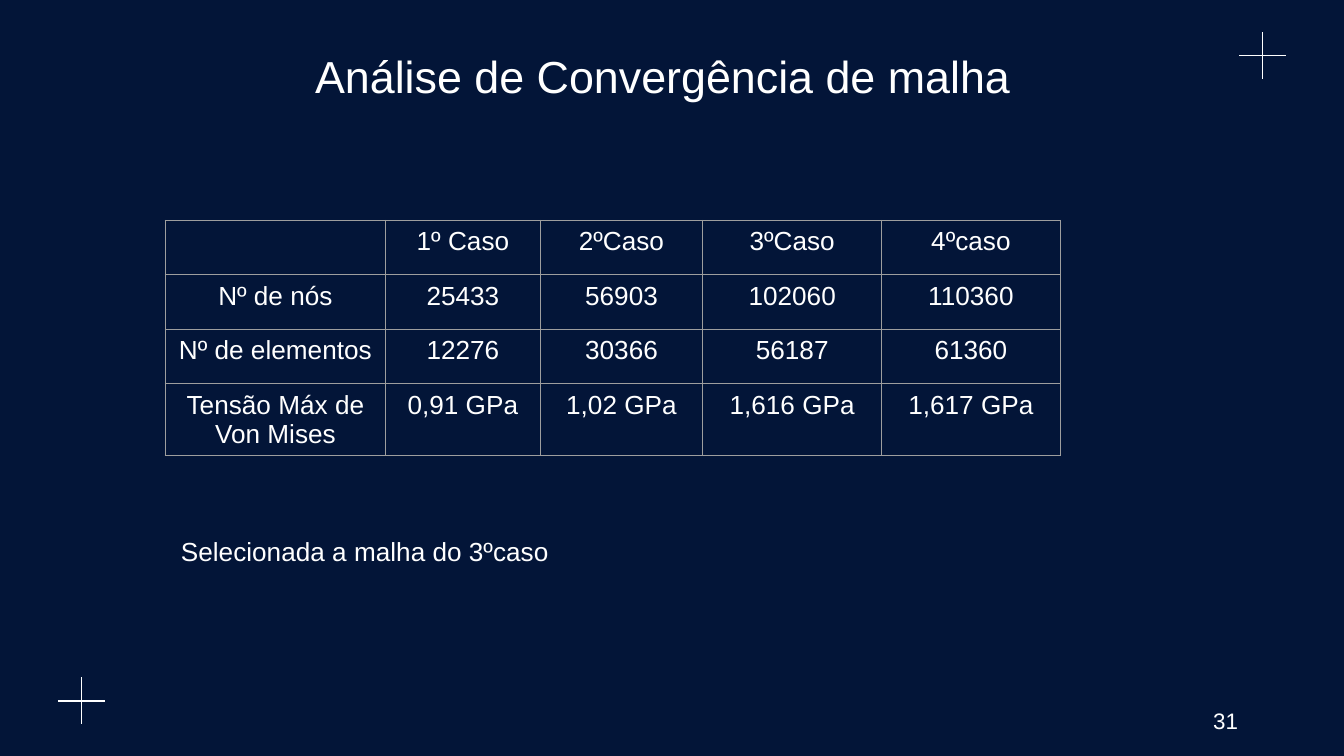
from dataclasses import dataclass

from lxml.etree import SubElement
from pptx import Presentation
from pptx.dml.color import RGBColor
from pptx.enum.shapes import MSO_CONNECTOR
from pptx.enum.text import MSO_ANCHOR, PP_ALIGN
from pptx.oxml.ns import qn
from pptx.util import Inches, Pt


@dataclass(frozen=True)
class Theme:
    background: str = "031538"
    ink: str = "FFFFFF"
    border: str = "9E9E9E"
    font: str = "Arial"
    title_size: int = 24
    body_size: int = 14
    number_size: int = 12
    line_width: float = 0.75


THEME = Theme()

MESH_CASES = [
    ["", "1º Caso", "2ºCaso", "3ºCaso", "4ºcaso"],
    ["Nº de nós", "25433", "56903", "102060", "110360"],
    ["Nº de elementos", "12276", "30366", "56187", "61360"],
    ["Tensão Máx de Von Mises", "0,91 GPa", "1,02 GPa", "1,616 GPa", "1,617 GPa"],
]
COLUMN_WIDTHS = [1.64, 1.15, 1.21, 1.33, 1.33]
TABLE_HEIGHT = 1.62


def style_paragraph(para, size, align):
    para.alignment = align
    para.font.name = THEME.font
    para.font.size = Pt(size)
    para.font.bold = False
    para.font.color.rgb = RGBColor.from_string(THEME.ink)


def add_text(page, box, text, size, align=PP_ALIGN.CENTER, anchor=MSO_ANCHOR.TOP,
             margin=0.1):
    frame = page.shapes.add_textbox(*map(Inches, box)).text_frame
    frame.word_wrap = True
    frame.vertical_anchor = anchor
    frame.margin_top = frame.margin_bottom = Inches(margin)
    frame.text = text
    para = frame.paragraphs[0]
    style_paragraph(para, size, align)
    return para


def add_line(page, start, end):
    line = page.shapes.add_connector(
        MSO_CONNECTOR.STRAIGHT, *map(Inches, (*start, *end)))
    line.line.color.rgb = RGBColor.from_string(THEME.ink)
    line.line.width = Pt(THEME.line_width)
    SubElement(line._element.spPr, qn("a:effectLst"))


def add_cross(page, left, top, size=0.35):
    middle_x, middle_y = left + size / 2, top + size / 2
    add_line(page, (middle_x, top), (middle_x, top + size))
    add_line(page, (left, middle_y), (left + size, middle_y))


def add_cell_borders(cell):
    properties = cell._tc.get_or_add_tcPr()
    for index, side in enumerate(("a:lnL", "a:lnR", "a:lnT", "a:lnB")):
        border = properties.makeelement(
            qn(side), {"w": str(Pt(THEME.line_width))})
        fill = SubElement(border, qn("a:solidFill"))
        SubElement(fill, qn("a:srgbClr"), val=THEME.border)
        properties.insert(index, border)


def add_case_table(page, left, top):
    rows, columns = len(MESH_CASES), len(COLUMN_WIDTHS)
    table = page.shapes.add_table(
        rows, columns, Inches(left), Inches(top),
        Inches(sum(COLUMN_WIDTHS)), Inches(TABLE_HEIGHT)).table
    table.first_row = table.horz_banding = False
    for column, width in zip(table.columns, COLUMN_WIDTHS):
        column.width = Inches(width)
    for row, values in zip(table.rows, MESH_CASES):
        row.height = Inches(TABLE_HEIGHT / rows)
        for cell, value in zip(row.cells, values):
            cell.text = value
            cell.margin_bottom = Inches(0.02)
            cell.fill.background()
            add_cell_borders(cell)
            style_paragraph(
                cell.text_frame.paragraphs[0], THEME.body_size, PP_ALIGN.CENTER)


def add_conclusion(page, box):
    """Centred sentence with the hanging indent of a list item."""
    para = add_text(page, box, "Selecionada a malha do 3ºcaso", THEME.body_size)
    properties = para._p.get_or_add_pPr()
    properties.set("marL", str(Inches(0.5)))
    properties.set("indent", str(Inches(-0.35)))


def build_convergence_slide(deck):
    page = deck.slides.add_slide(deck.slide_layouts[6])
    page.background.fill.solid()
    page.background.fill.fore_color.rgb = RGBColor.from_string(THEME.background)
    add_cross(page, 9.22, 0.24)
    add_cross(page, 0.43, 5.04)
    add_text(page, (0.71, 0.26, 8.44, 0.81), "Análise de Convergência de malha",
             THEME.title_size)
    add_text(page, (7.06, 5.21, 2.25, 0.3), "31", THEME.number_size,
             PP_ALIGN.RIGHT, MSO_ANCHOR.MIDDLE, margin=0.05)
    add_conclusion(page, (0.88, 3.88, 3.52, 0.91))
    add_case_table(page, 1.23, 1.64)


def main():
    deck = Presentation()
    deck.slide_width = Inches(10)
    deck.slide_height = deck.slide_width * 9 // 16
    build_convergence_slide(deck)
    deck.save("out.pptx")


if __name__ == "__main__":
    main()
